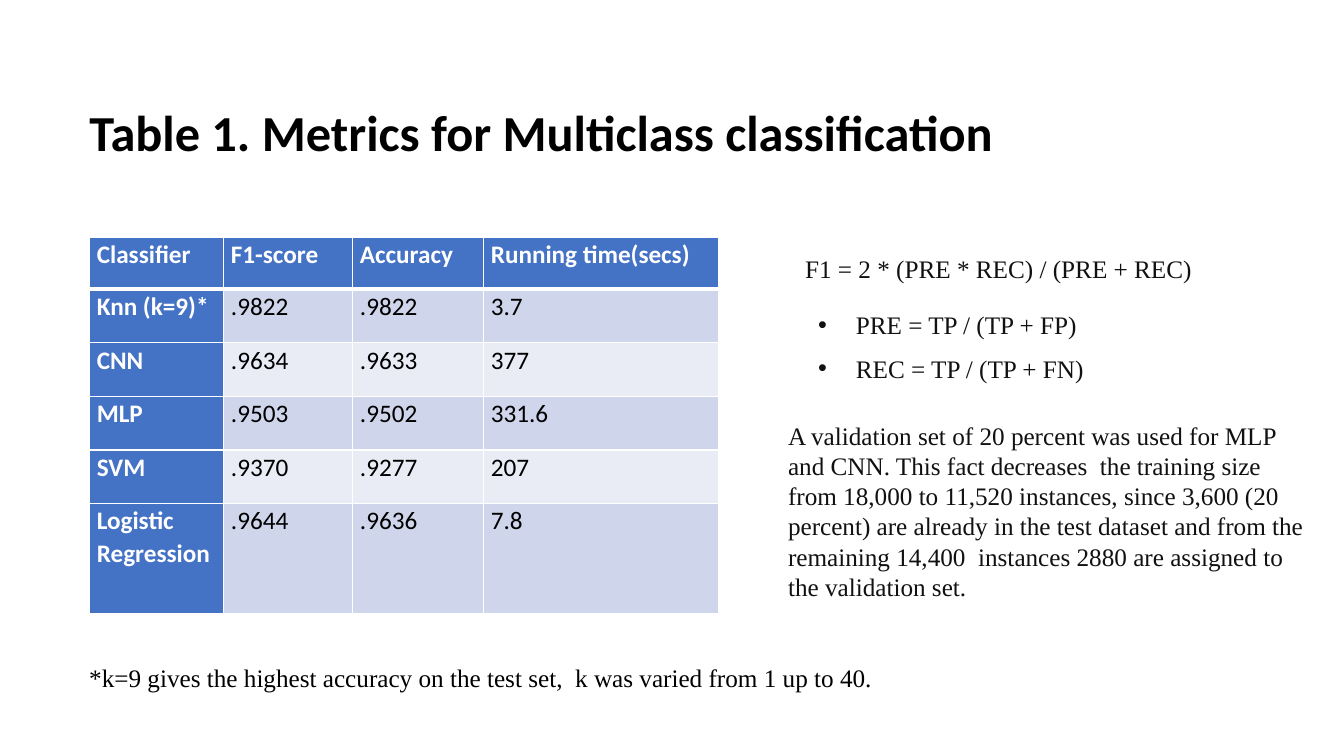
from lxml.etree import SubElement
from pptx import Presentation
from pptx.dml.color import RGBColor
from pptx.enum.text import MSO_ANCHOR, MSO_AUTO_SIZE, PP_ALIGN
from pptx.oxml.ns import qn
from pptx.util import Cm, Pt

SANS, SERIF = "Calibri", "Times New Roman"
BLACK, INK, WHITE = "000000", "111111", "FFFFFF"
BLUE, BAND_DARK, BAND_LIGHT = "4472C4", "CFD5EA", "E9EBF5"

METRICS = [
    ("Classifier", "F1-score", "Accuracy", "Running time(secs)"),
    ("Knn (k=9)*", ".9822", ".9822", "3.7"),
    ("CNN", ".9634", ".9633", "377"),
    ("MLP", ".9503", ".9502", "331.6"),
    ("SVM", ".9370", ".9277", "207"),
    ("Logistic Regression", ".9644", ".9636", "7.8"),
]
COLUMN_WIDTHS = (3.38, 3.25, 3.3, 5.92)
ROW_HEIGHTS = (1.3, 1.35, 1.35, 1.35, 1.35, 2.77)

VALIDATION_NOTE = (
    "A validation set of 20 percent was used for MLP and CNN. This fact decreases  "
    "the training size from 18,000 to 11,520 instances, since 3,600 (20 percent) are "
    "already in the test dataset and from the remaining 14,400  instances 2880 are "
    "assigned to the validation set."
)


def color(value):
    return RGBColor.from_string(value)


def write_text(text_frame, *lines, size=18, font=SERIF, fill=INK, bold=False,
               align=PP_ALIGN.JUSTIFY, line_spacing=1.07, space_after=0, bullet=False):
    """Write one paragraph per line, all in the same format."""
    text_frame.word_wrap = True
    for index, line in enumerate(lines):
        paragraph = text_frame.add_paragraph() if index else text_frame.paragraphs[0]
        paragraph.alignment = align
        paragraph.line_spacing = line_spacing
        paragraph.space_after = Pt(space_after)
        run = paragraph.add_run()
        run.text = line
        run.font.size = Pt(size)
        run.font.name = font
        run.font.bold = bold
        run.font.color.rgb = color(fill)
        if bullet:
            add_bullet(paragraph)


def add_bullet(paragraph):
    properties = paragraph._p.get_or_add_pPr()
    properties.set("marL", str(Cm(0.95)))
    properties.set("indent", str(-Cm(0.95)))
    SubElement(properties, qn("a:buFont"), typeface="Arial")
    SubElement(properties, qn("a:buChar"), char="•")


def add_text(slide, left, top, width, height, *lines, **text_format):
    box = slide.shapes.add_textbox(Cm(left), Cm(top), Cm(width), Cm(height))
    write_text(box.text_frame, *lines, **text_format)


def set_title(slide, text):
    title = slide.shapes.title
    title.left, title.top, title.width, title.height = Cm(2), Cm(2.41), Cm(27.74), Cm(2.57)
    title.text_frame.auto_size = MSO_AUTO_SIZE.NONE
    title.text_frame.vertical_anchor = MSO_ANCHOR.TOP
    write_text(title.text_frame, text, size=36, font=SANS, fill=BLACK, bold=True,
               align=PP_ALIGN.LEFT, line_spacing=1.0)


def set_borders(cell, **widths):
    """Draw white cell borders; widths in points by side: L, R, T, B."""
    properties = cell._tc.get_or_add_tcPr()
    for side, width in widths.items():
        line = SubElement(properties, qn(f"a:ln{side}"), w=str(Pt(width)))
        fill = SubElement(line, qn("a:solidFill"))
        SubElement(fill, qn("a:srgbClr"), val=WHITE)


def add_metrics_table(slide):
    frame = slide.shapes.add_table(
        len(METRICS), len(COLUMN_WIDTHS), Cm(2.26), Cm(5.99),
        Cm(sum(COLUMN_WIDTHS)), Cm(sum(ROW_HEIGHTS)))
    table = frame.table
    table.first_col = True
    for column, width in zip(table.columns, COLUMN_WIDTHS):
        column.width = Cm(width)
    for row, height in zip(table.rows, ROW_HEIGHTS):
        row.height = Cm(height)

    for row_index, values in enumerate(METRICS):
        band = BAND_DARK if row_index % 2 else BAND_LIGHT
        for column_index, value in enumerate(values):
            cell = table.cell(row_index, column_index)
            heading = row_index == 0 or column_index == 0
            cell.margin_left = cell.margin_right = Cm(0.18)
            cell.margin_top = cell.margin_bottom = 0
            set_borders(cell, L=1, R=1, T=3 if row_index == 1 else 1,
                        B=3 if row_index == 0 else 1)
            cell.fill.solid()
            cell.fill.fore_color.rgb = color(BLUE if heading else band)
            write_text(cell.text_frame, value, font=SANS, bold=heading,
                       fill=WHITE if heading else BLACK)


def main():
    presentation = Presentation()
    presentation.slide_width, presentation.slide_height = Cm(33.87), Cm(19.05)
    slide = presentation.slides.add_slide(presentation.slide_layouts[5])

    # Title and table
    set_title(slide, "Table 1. Metrics for Multiclass classification")
    add_metrics_table(slide)

    # Footnote
    add_text(slide, 2, 16.51, 22.81, 1.85,
             "*k=9 gives the highest accuracy on the test set,  k was varied from 1 up to 40.",
             fill=BLACK)

    # Formulas
    add_text(slide, 20.04, 6.2, 11.56, 1.04, "F1 = 2 * (PRE * REC) / (PRE + REC)",
             space_after=11.2)
    add_text(slide, 20.37, 7.62, 12.19, 2.16, "PRE = TP / (TP + FP)", "REC = TP / (TP + FN)",
             space_after=8, bullet=True)

    # Validation note
    add_text(slide, 19.61, 10.46, 13.67, 5.64, VALIDATION_NOTE,
             align=PP_ALIGN.LEFT, line_spacing=1.0)

    presentation.save("out.pptx")


if __name__ == "__main__":
    main()
